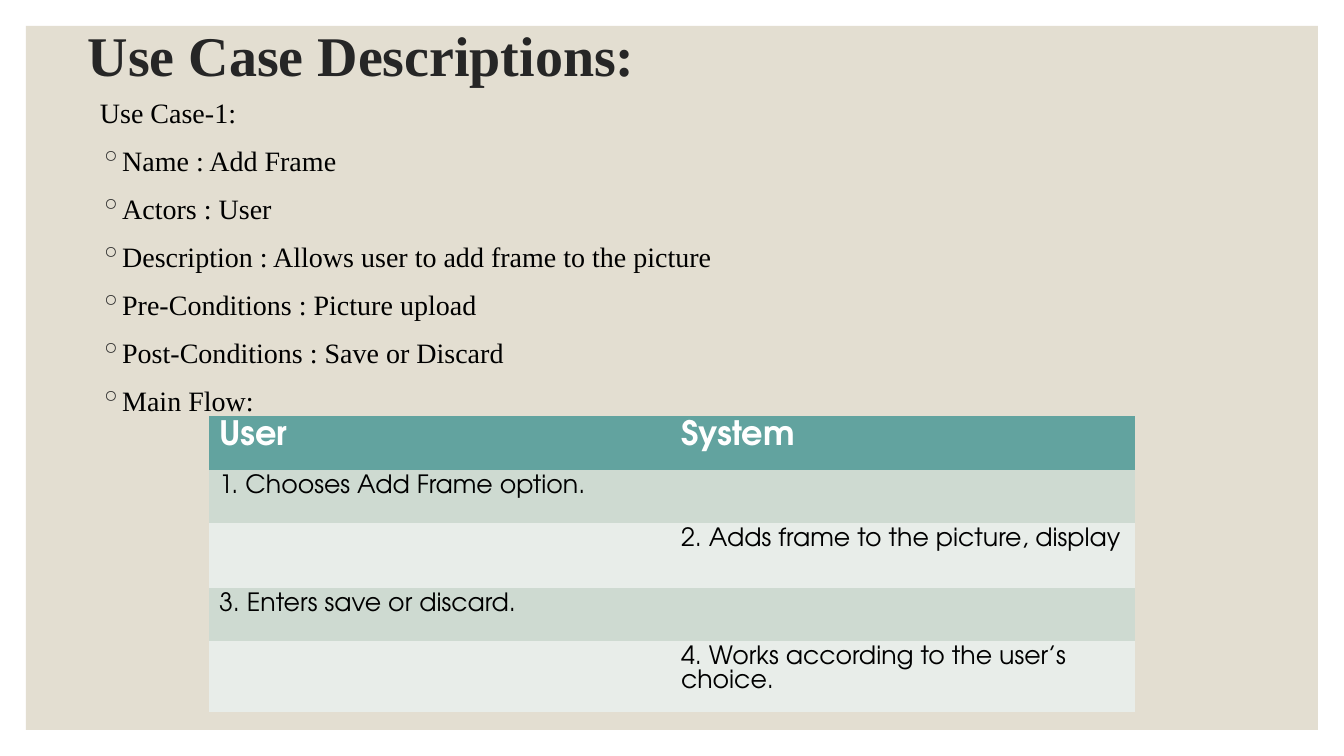
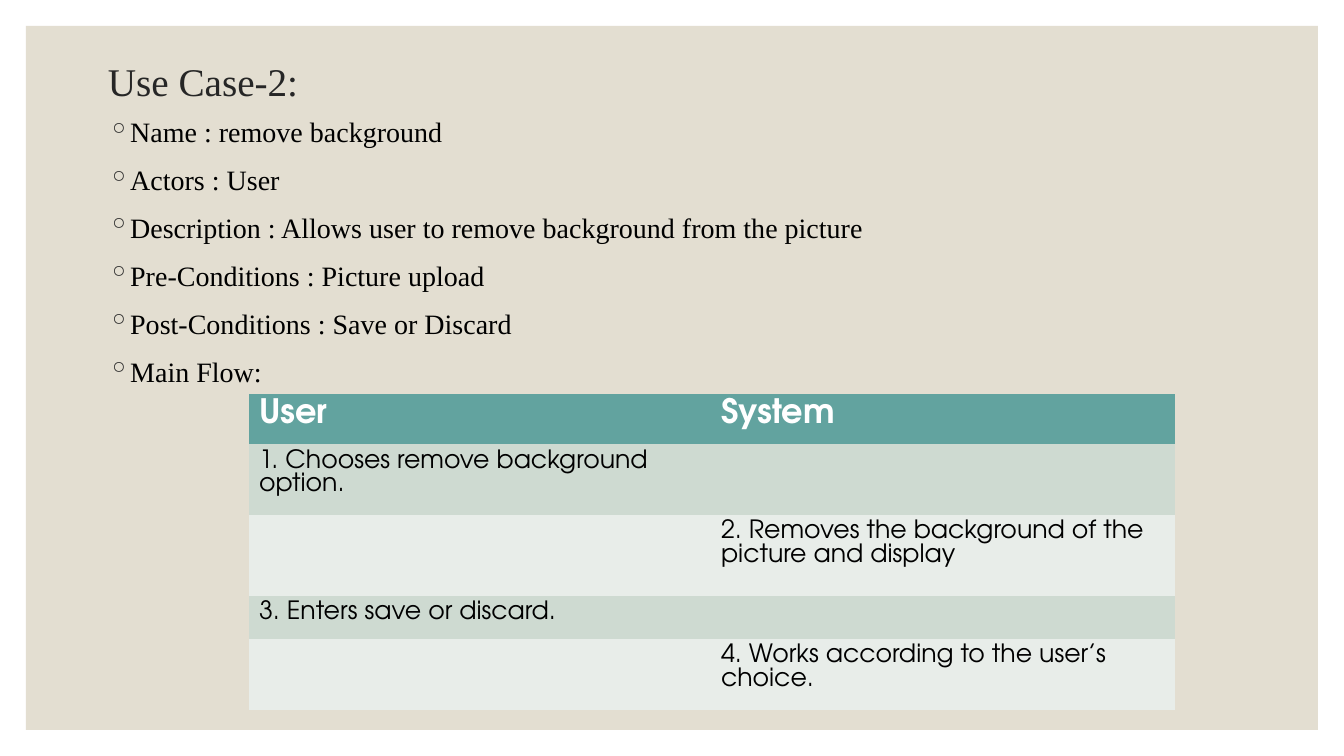
from dataclasses import dataclass
from typing import Any

from lxml import etree
from pptx import Presentation
from pptx import util as u
from pptx.dml.color import RGBColor
from pptx.enum import shapes, text
from pptx.oxml import ns

EMU_PER_PIXEL = 914400 / 100.8
SERIF = "Times New Roman"
SANS = "TeX Gyre Adventor"
INK = "262626"
BLACK = "000000"
WHITE = "FFFFFF"
PANEL = "E3DED1"
HEADER = "62A39F"
BANDS = ("CEDAD1", "E8EDE9")
COLUMN_WIDTHS = (462, 464)
NO_GRID_STYLE = "{2D5ABB26-0587-4C30-8999-92F81FD0307C}"

BODY_FORMAT = {"name": SERIF, "size": u.Pt(20), "bold": False}
HEADER_FORMAT = {"name": SANS, "size": u.Pt(24), "bold": True}
CELL_FORMAT = {"name": SANS, "size": u.Pt(18), "bold": False}
BODY_SPACING = {"line_spacing": 1.05, "space_before": u.Pt(9)}
TITLE_SPACING = {"line_spacing": 0.9}


@dataclass(frozen=True)
class Box:
    left: int
    top: int
    width: int
    height: int


@dataclass(frozen=True)
class Title:
    wording: str
    box: Box
    size: int
    bold: bool


@dataclass(frozen=True)
class Flow:
    left: int
    top: int
    row_heights: tuple[int, ...]
    steps: tuple[str, ...]


@dataclass(frozen=True)
class UseCase:
    title: Title
    body: Box
    heading: str
    name: str
    description: str
    flow: Flow

    def details(self) -> list[str]:
        return [
            f"Name : {self.name}",
            "Actors : User",
            f"Description : {self.description}",
            "Pre-Conditions : Picture upload",
            "Post-Conditions : Save or Discard",
            "Main Flow:",
        ]


def px(pixels: int) -> u.Emu:
    return u.Emu(round(pixels * EMU_PER_PIXEL))


def place(box: Box) -> tuple[u.Emu, ...]:
    return px(box.left), px(box.top), px(box.width), px(box.height)


def colour(code: str) -> RGBColor:
    return RGBColor.from_string(code)


def apply(target: Any, values: dict[str, Any]) -> None:
    for attribute, value in values.items():
        setattr(target, attribute, value)


def write(paragraph: Any, wording: str, font_format: dict[str, Any], ink: str) -> None:
    run = paragraph.add_run()
    run.text = wording
    apply(run.font, font_format)
    run.font.color.rgb = colour(ink)


def add_bullet(paragraph: Any) -> None:
    properties = paragraph._p.get_or_add_pPr()
    indent = px(20)
    properties.set("marL", str(indent))
    properties.set("indent", str(-indent))
    bullet_colour = etree.SubElement(properties, ns.qn("a:buClr"))
    etree.SubElement(bullet_colour, ns.qn("a:srgbClr"), val=INK)
    etree.SubElement(properties, ns.qn("a:buChar"), char="◦")


def add_panel(slide: Any) -> None:
    panel = slide.shapes.add_shape(
        shapes.MSO_SHAPE.RECTANGLE, *place(Box(26, 26, 1292, 704))
    )
    panel.shadow.inherit = False
    panel.fill.solid()
    panel.fill.fore_color.rgb = colour(PANEL)
    panel.line.fill.background()


def add_frame(slide: Any, box: Box, anchor: text.MSO_ANCHOR) -> Any:
    frame = slide.shapes.add_textbox(*place(box)).text_frame
    apply(frame, {"word_wrap": True, "vertical_anchor": anchor})
    return frame


def add_title(slide: Any, title: Title) -> None:
    paragraph = add_frame(slide, title.box, text.MSO_ANCHOR.MIDDLE).paragraphs[0]
    apply(paragraph, TITLE_SPACING)
    title_format = {"name": SERIF, "size": u.Pt(title.size), "bold": title.bold}
    write(paragraph, title.wording, title_format, INK)


def add_body(slide: Any, case: UseCase) -> None:
    frame = add_frame(slide, case.body, text.MSO_ANCHOR.TOP)
    lines = [(case.heading, False)] if case.heading else []
    lines += [(detail, True) for detail in case.details()]
    for index, (wording, bulleted) in enumerate(lines):
        paragraph = frame.add_paragraph() if index else frame.paragraphs[0]
        apply(paragraph, BODY_SPACING)
        if bulleted:
            add_bullet(paragraph)
        write(paragraph, wording, BODY_FORMAT, BLACK)


def add_flow(slide: Any, flow: Flow) -> None:
    box = Box(flow.left, flow.top, sum(COLUMN_WIDTHS), sum(flow.row_heights))
    table = slide.shapes.add_table(
        len(flow.row_heights), len(COLUMN_WIDTHS), *place(box)
    ).table
    table._tbl.tblPr.find(ns.qn("a:tableStyleId")).text = NO_GRID_STYLE
    for column, width in zip(table.columns, COLUMN_WIDTHS):
        column.width = px(width)
    for row, height in zip(table.rows, flow.row_heights):
        row.height = px(height)
    for row_index, row in enumerate(table.rows):
        for cell in row.cells:
            cell.fill.solid()
            band = BANDS[(row_index - 1) % 2] if row_index else HEADER
            cell.fill.fore_color.rgb = colour(band)
    for column_index, actor in enumerate(("User", "System")):
        paragraph = table.cell(0, column_index).text_frame.paragraphs[0]
        write(paragraph, actor, HEADER_FORMAT, WHITE)
    for step_index, step in enumerate(flow.steps):
        cell = table.cell(step_index + 1, step_index % 2)
        wording = f"{step_index + 1}. {step}"
        write(cell.text_frame.paragraphs[0], wording, CELL_FORMAT, BLACK)


USE_CASES = (
    UseCase(
        title=Title("Use Case Descriptions:", Box(78, 28, 1109, 60), 40, True),
        body=Box(90, 89, 1098, 357),
        heading="Use Case-1:",
        name="Add Frame",
        description="Allows user to add frame to the picture",
        flow=Flow(209, 416, (54, 53, 65, 53, 57), (
            "Chooses Add Frame option.",
            "Adds frame to the picture, display",
            "Enters save or discard.",
            "Works according to the user’s choice.",
        )),
    ),
    UseCase(
        title=Title("Use Case-2:", Box(98, 46, 1109, 76), 28, False),
        body=Box(98, 108, 1109, 433),
        heading="",
        name="remove background",
        description="Allows user to remove background from the picture",
        flow=Flow(249, 394, (43, 58, 81, 43, 57), (
            "Chooses remove background option.",
            "Removes the background of the picture and display",
            "Enters save or discard.",
            "Works according to the user’s choice.",
        )),
    ),
)


def main() -> None:
    presentation = Presentation()
    apply(presentation, {"slide_width": px(1344), "slide_height": px(756)})
    for case in USE_CASES:
        slide = presentation.slides.add_slide(presentation.slide_layouts[6])
        add_panel(slide)
        add_title(slide, case.title)
        add_body(slide, case)
        add_flow(slide, case.flow)
    presentation.save("out.pptx")


main()
